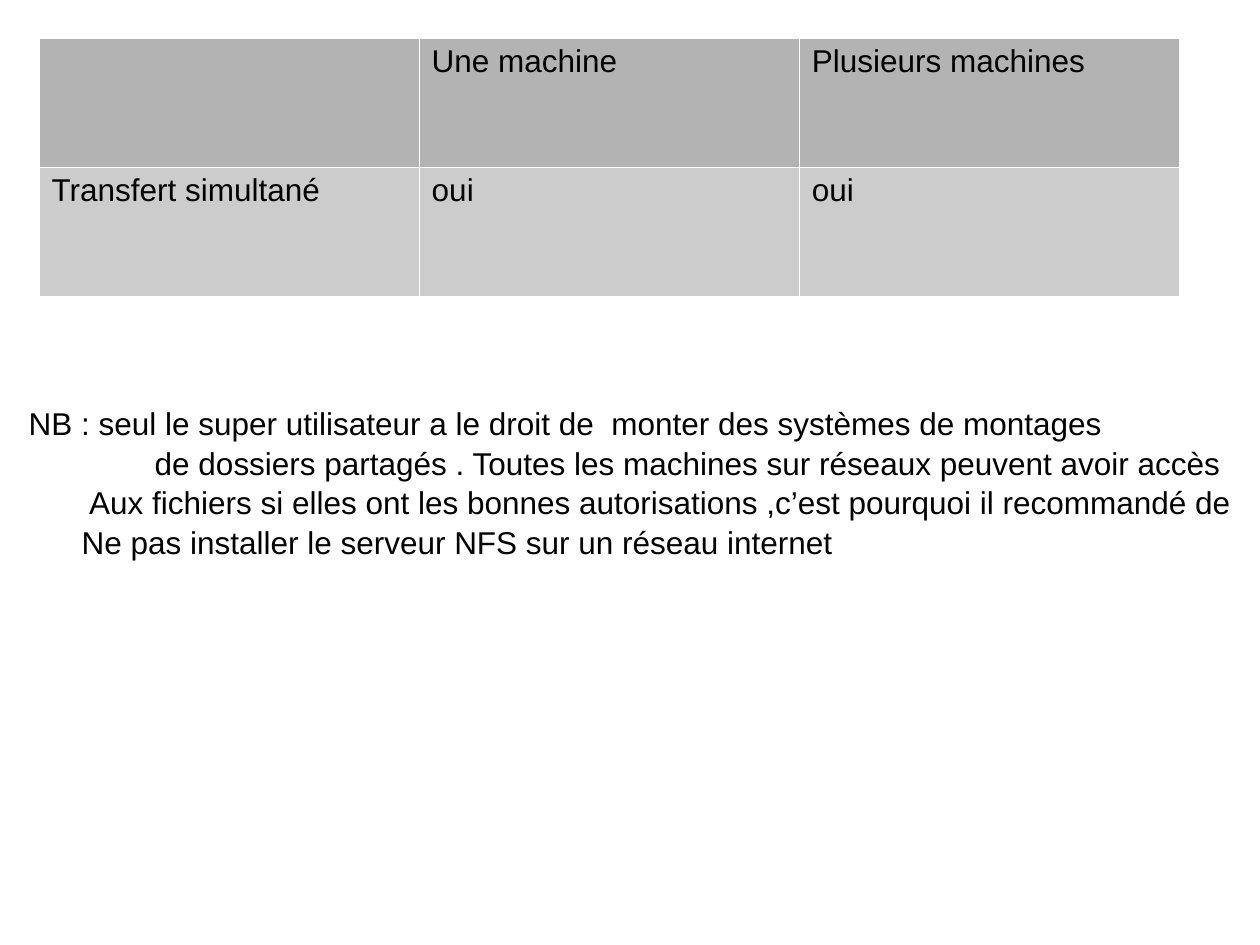
from dataclasses import dataclass

from lxml.etree import SubElement
from pptx import Presentation
from pptx.dml.color import RGBColor
from pptx.oxml.ns import qn
from pptx.util import Inches, Pt


@dataclass(frozen=True)
class Theme:
    font: str = "Arial"
    size: float = 18
    ink: str = "000000"
    header_fill: str = "B3B3B3"
    body_fill: str = "CCCCCC"
    border: str = "FFFFFF"
    border_width: float = 0.06


@dataclass(frozen=True)
class TableRow:
    fill: str
    labels: tuple[str, ...]


@dataclass(frozen=True)
class NoteLine:
    indent: float  # inches
    wording: str


THEME = Theme()
SLIDE_WIDTH, SLIDE_HEIGHT = Inches(10), Inches(7.5)

TRANSFER_ROWS = (
    TableRow(THEME.header_fill, ("", "Une machine", "Plusieurs machines")),
    TableRow(THEME.body_fill, ("Transfert simultané", "oui", "oui")),
)
NOTE_LINES = (
    NoteLine(0, "NB : seul le super utilisateur a le droit de  monter des systèmes de montages"),
    NoteLine(1, "de dossiers partagés . Toutes les machines sur réseaux peuvent avoir accès"),
    NoteLine(0.48, "Aux fichiers si elles ont les bonnes autorisations ,c’est pourquoi il recommandé de"),
    NoteLine(0.42, "Ne pas installer le serveur NFS sur un réseau internet"),
)


def write(paragraph, wording: str) -> None:
    paragraph.text = wording
    paragraph.font.name = THEME.font
    paragraph.font.size = Pt(THEME.size)
    paragraph.font.color.rgb = RGBColor.from_string(THEME.ink)


def style_cell(cell, fill: str) -> None:
    properties = cell._tc.get_or_add_tcPr()
    # Borders come before the fill in the cell properties
    for side in ("a:lnL", "a:lnR", "a:lnT", "a:lnB"):
        line = SubElement(properties, qn(side), w=str(int(Pt(THEME.border_width))))
        SubElement(SubElement(line, qn("a:solidFill")), qn("a:srgbClr"), val=THEME.border)
    cell.fill.solid()
    cell.fill.fore_color.rgb = RGBColor.from_string(fill)


def draw_table(slide, rows: tuple[TableRow, ...]) -> None:
    table = slide.shapes.add_table(
        len(rows), len(rows[0].labels),
        Inches(0.31), Inches(0.3), Inches(9.05), Inches(2.05),
    ).table
    for row_index, row in enumerate(rows):
        for column_index, label in enumerate(row.labels):
            cell = table.cell(row_index, column_index)
            style_cell(cell, row.fill)
            write(cell.text_frame.paragraphs[0], label)


def draw_note(slide, lines: tuple[NoteLine, ...]) -> None:
    frame = slide.shapes.add_textbox(
        Inches(0.13), Inches(3.16), Inches(9.8), Inches(1.22)
    ).text_frame
    frame.word_wrap = True
    for index, line in enumerate(lines):
        paragraph = frame.add_paragraph() if index else frame.paragraphs[0]
        paragraph._p.get_or_add_pPr().set("marL", str(Inches(line.indent)))
        paragraph.space_after = Pt(1)
        write(paragraph, line.wording)


def main() -> None:
    deck = Presentation()
    deck.slide_width, deck.slide_height = SLIDE_WIDTH, SLIDE_HEIGHT
    slide = deck.slides.add_slide(deck.slide_layouts[6])

    # Comparison of simultaneous transfers
    draw_table(slide, TRANSFER_ROWS)

    # Note on mounting rights
    draw_note(slide, NOTE_LINES)

    deck.save("out.pptx")


if __name__ == "__main__":
    main()
